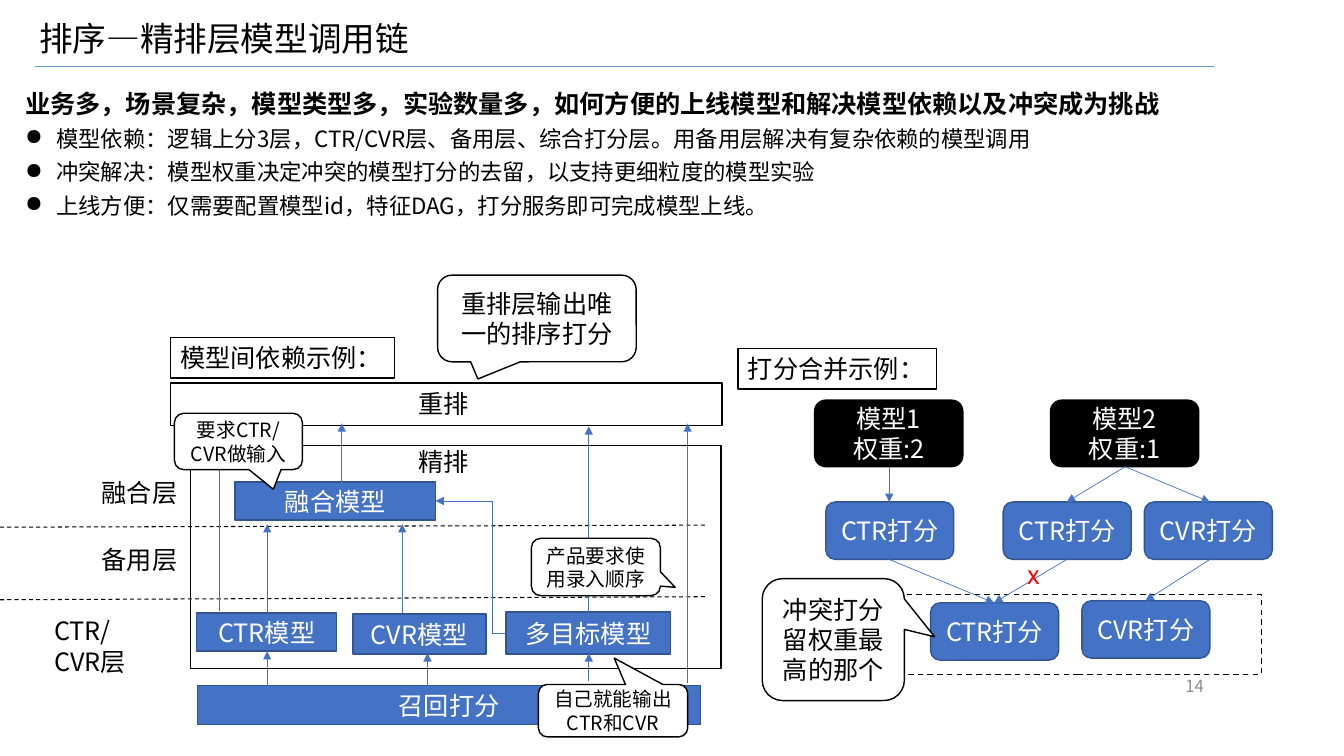
from lxml import etree
from pptx import Presentation
from pptx.dml.color import RGBColor
from pptx.enum.dml import MSO_LINE_DASH_STYLE as Dash
from pptx.enum.shapes import MSO_CONNECTOR as Link, MSO_SHAPE as Kind
from pptx.enum.text import MSO_ANCHOR as Anchor, MSO_AUTO_SIZE as Fit, PP_ALIGN as Align
from pptx.oxml.ns import qn
from pptx.util import Inches, Pt

FONT = "Noto Sans CJK SC"
COLORS = {"black": "000000", "white": "FFFFFF", "blue": "4472C4", "navy": "325491",
          "sky": "5B9BD5", "red": "FF0000", "gray": "8C8C8C"}
RECT, ROUND, CALLOUT = Kind.RECTANGLE, Kind.ROUNDED_RECTANGLE, Kind.ROUNDED_RECTANGULAR_CALLOUT

deck = Presentation()
deck.slide_width, deck.slide_height = Inches(13.33), Inches(7.5)
slide = deck.slides.add_slide(deck.slide_layouts[5])
shapes = slide.shapes


def box(kind, at, text="", fill=None, edge="black", size=18, color="black",
        align=Align.CENTER, anchor=Anchor.MIDDLE, wrap=True, tip=None):
    """Place the title ("title"), a text box (None) or a preset shape, one paragraph per text line."""
    left, top, width, height = map(Inches, at)
    if kind == "title":
        shape = shapes.title
        shape.left, shape.top, shape.width, shape.height = left, top, width, height
    elif kind is None:
        shape = shapes.add_textbox(left, top, width, height)
    else:
        shape = shapes.add_shape(kind, left, top, width, height)
        shape.shadow.inherit = False
        shape.line.color.rgb = RGBColor.from_string(COLORS[edge])
        shape.line.width = Pt(1)
        if fill:
            shape.fill.solid()
            shape.fill.fore_color.rgb = RGBColor.from_string(COLORS[fill])
        else:
            shape.fill.background()
    if tip:
        shape.adjustments[0], shape.adjustments[1] = tip
    frame = shape.text_frame
    frame.text = text
    frame.word_wrap, frame.vertical_anchor, frame.auto_size = wrap, anchor, Fit.NONE
    for paragraph in frame.paragraphs:
        paragraph.alignment = align
        font = paragraph.font
        font.size, font.name = Pt(size), FONT
        font.color.rgb = RGBColor.from_string(COLORS[color])
        etree.SubElement(font._element, qn("a:ea"), typeface=FONT)
    return shape


def connect(start, end, color="blue", width=0.5, link=Link.STRAIGHT, arrow=True, dash=None):
    line = shapes.add_connector(link, *map(Inches, (*start, *end)))
    line.line.color.rgb = RGBColor.from_string(COLORS[color])
    line.line.width = Pt(width)
    if dash:
        line.line.dash_style = dash
    if arrow:
        etree.SubElement(line.line._get_or_add_ln(), qn("a:tailEnd"), type="triangle")
    etree.SubElement(line._element.spPr, qn("a:effectLst"))
    return line


LABEL = {"align": Align.LEFT, "anchor": Anchor.TOP, "wrap": False}
MODEL = {"fill": "blue", "edge": "navy", "color": "white"}

# Heading and key points
box("title", (0.29, 0.13, 5.13, 0.5), "排序—精排层模型调用链", size=24, align=Align.LEFT, anchor=Anchor.TOP)
box(None, (9.04, 6.6, 3, 0.4), "14", size=12, color="gray", align=Align.RIGHT)
connect((0.35, 0.66), (12.04, 0.66), "sky", 1, arrow=False)
points = box(None, (0.15, 0.75, 12.02, 1.8), """业务多，场景复杂，模型类型多，实验数量多，如何方便的上线模型和解决模型依赖以及冲突成为挑战
模型依赖：逻辑上分3层，CTR/CVR层、备用层、综合打分层。用备用层解决有复杂依赖的模型调用
冲突解决：模型权重决定冲突的模型打分的去留，以支持更细粒度的模型实验
上线方便：仅需要配置模型id，特征DAG，打分服务即可完成模型上线。""",
             size=16, align=Align.LEFT, anchor=Anchor.TOP)
claim, *bullets = points.text_frame.paragraphs
claim.font.size, claim.font.bold, claim.line_spacing = Pt(18), True, 1.25
for bullet in bullets:
    bullet.line_spacing = 1.25
    props = bullet._p.get_or_add_pPr()
    props.set("marL", str(Inches(0.31)))
    props.set("indent", str(-Inches(0.31)))
    mark = etree.Element(qn("a:buChar"), char="●")
    props.find(qn("a:defRPr")).addprevious(mark)

# Score merging: models, their scores, merged scores
model_row, score_row, merged_row = 3.97, 4.98, 5.98
score_w, score_h = 1.27, 0.57
for number, left, weight in ((1, 8.08, 2), (2, 10.42, 1)):
    box(ROUND, (left, model_row, 1.47, 0.66), f"模型{number}\n权重:{weight}", fill="black", color="white")
for name, left, top in (("CVR", 11.35, score_row), ("CTR", 8.19, score_row), ("CTR", 9.95, score_row),
                        ("CTR", 9.23, merged_row), ("CVR", 10.73, merged_row - 0.02)):
    box(ROUND, (left, top, score_w, score_h), f"{name}打分", **MODEL)
box(RECT, (8.89, 5.9, 3.62, 0.79)).line.dash_style = Dash.DASH
model_end, score_end = model_row + 0.66, score_row + score_h
for start_x, end_x in ((8.82, 8.82), (11.16, 10.58), (11.16, 12)):
    connect((start_x, model_end), (end_x, score_row))
for start_x, end_x, end_y in ((8.82, 9.86, merged_row), (12, 11.36, merged_row - 0.02), (10.58, 9.86, merged_row)):
    connect((start_x, score_end), (end_x, end_y))
box(CALLOUT, (7.56, 5.74, 1.41, 1.21), "冲突打分留权重最高的那个", fill="white", tip=(0.713, -0.023))
box(None, (10.09, 5.5, 0.33, 0.4), "x", color="red", **LABEL)
box(RECT, (7.32, 3.46, 1.97, 0.4), "打分合并示例：", fill="white", **LABEL)

# Model dependencies: layers, models and the calls between them
for left_y, right_y in ((5.95, 5.92), (5.23, 5.21)):
    connect((0, left_y), (7, right_y), "black", 0.75, arrow=False, dash=Dash.DASH)
box(RECT, (1.69, 3.8, 5.47, 0.42))
for name, at in (("召回打分", (1.96, 6.8, 4.99, 0.39)),
                 ("CTR模型", (1.95, 6.08, 1.39, 0.38)),
                 ("CVR模型", (3.5, 6.09, 1.32, 0.4)),
                 ("融合模型", (2.33, 4.78, 1.99, 0.38)),
                 ("多目标模型", (5.02, 6.07, 1.63, 0.42))):
    box(RECT, at, name, **MODEL)
for x, start_y, end_y in ((3.39, 4.93, 4.2), (5.84, 6.07, 4.23), (2.18, 6.06, 4.23),
                          (2.65, 6.08, 5.2), (3.99, 6.08, 5.2), (5.84, 6.76, 6.48),
                          (4.24, 6.83, 6.48), (2.65, 6.82, 6.46), (6.82, 6.78, 4.2)):
    connect((x, start_y), (x, end_y))
box(RECT, (1.89, 4.42, 5.26, 2.21))
for stage, top in (("重排", 3.8), ("精排", 4.38)):
    box(None, (4.05, top, 0.71, 0.4), stage, **LABEL)
for note, at, tip in (("产品要求使用录入顺序", (5.27, 5.34, 1.28, 0.57), (0.615, 0.355)),
                      ("要求CTR/ CVR做输入", (1.73, 4.1, 1.27, 0.56), (0.273, 0.847)),
                      ("自己就能输出CTR和CVR", (5.34, 6.79, 1.48, 0.52), (0.008, -1.004))):
    box(CALLOUT, at, note, fill="white", size=14, tip=tip)
box(RECT, (1.69, 3.35, 2.22, 0.4), "模型间依赖示例：", fill="white", **LABEL)
detour = connect((5.02, 6.28), (4.32, 4.97), link=Link.ELBOW)
bends = detour._element.spPr.find(qn("a:prstGeom")).find(qn("a:avLst"))
etree.SubElement(bends, qn("a:gd"), name="adj1", fmla="val 19600")
for layer, top in (("融合层", 4.69), ("备用层", 5.35)):
    box(None, (0.91, top, 0.96, 0.4), layer, **LABEL)
box(None, (0.44, 6.06, 1.2, 0.4), "CTR/CVR层", align=Align.LEFT, anchor=Anchor.TOP)
box(CALLOUT, (4.34, 2.73, 1.97, 0.86), "重排层输出唯一的排序打分", fill="white", tip=(-0.297, 0.698))

deck.save("out.pptx")
